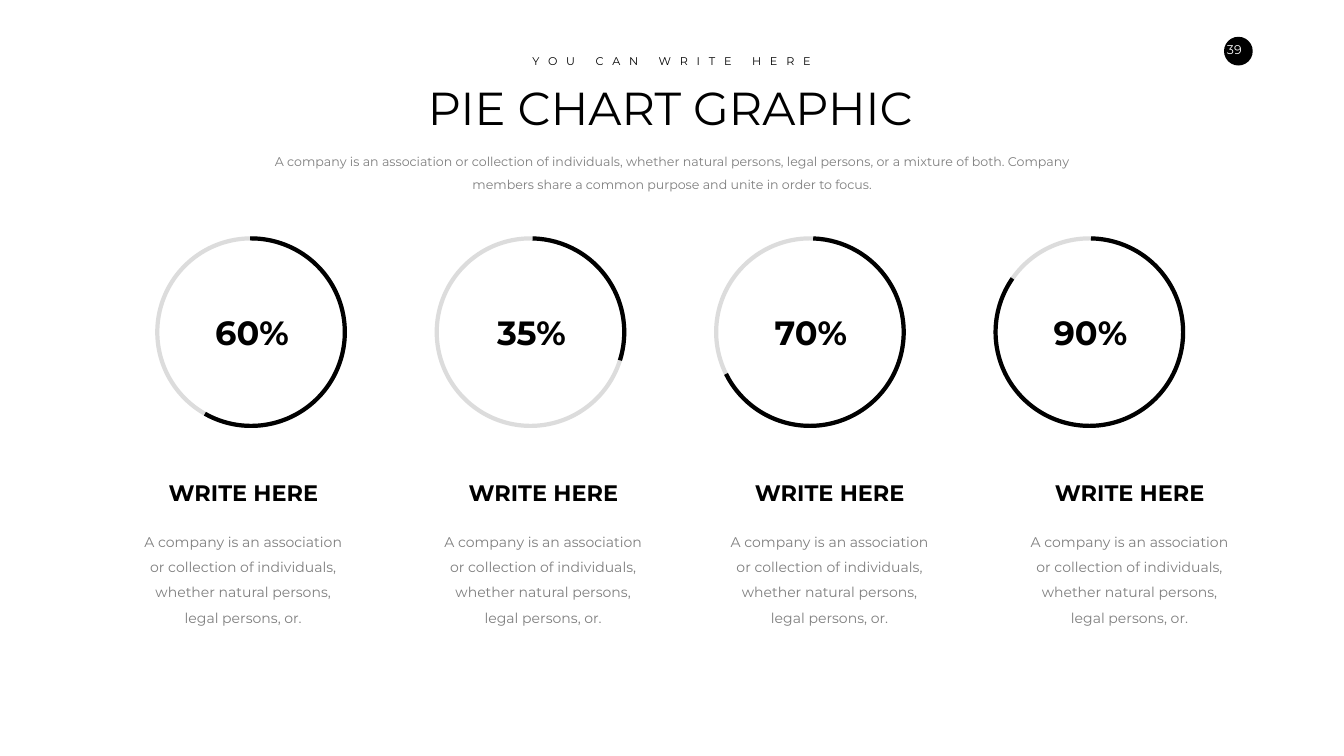
from dataclasses import dataclass

from pptx import Presentation
from pptx.dml.color import RGBColor
from pptx.enum.shapes import MSO_SHAPE as Shape
from pptx.enum.text import PP_ALIGN as Align
from pptx.util import Inches, Pt

BLACK = RGBColor(0x00, 0x00, 0x00)
WHITE = RGBColor(0xFF, 0xFF, 0xFF)
GRAY = RGBColor(0x7F, 0x7F, 0x7F)
TRACK = RGBColor(0xDC, 0xDC, 0xDC)
FONT = "Montserrat"
BODY = ("A company is an association or collection of individuals, "
        "whether natural persons, legal persons, or.")
INTRO = ("A company is an association or collection of individuals, "
         "whether natural persons, legal persons, or a mixture of both. "
         "Company members share a common purpose and unite in order to focus.")
RING_LEFT, RING_TOP, RING_SIZE, RING_STEP = 3.12, 4.73, 3.72, 5.543
ADJUSTMENT_PER_DEGREE = 0.6


@dataclass
class Gauge:
    label: str
    start: float
    end: float
    text_left: float


GAUGES = [
    Gauge("60%", 269.5, 119.5, 2.66),
    Gauge("35%", 271.3, 17.5, 8.61),
    Gauge("70%", 272, 153.5, 14.29),
    Gauge("90%", 271, 214.95, 20.24),
]


def add_text(s, text: str, left: float, top: float, width: float, height: float,
             size: float, color: RGBColor = BLACK, bold: bool = False,
             line_spacing: float = 1.0,
             insets: tuple = (0.1, 0.05, 0.1, 0.05)):
    sp = s.shapes.add_textbox(Inches(left), Inches(top), Inches(width), Inches(height))
    tf = sp.text_frame
    tf.word_wrap = True
    tf.margin_left, tf.margin_top, tf.margin_right, tf.margin_bottom = map(Inches, insets)
    p = tf.paragraphs[0]
    p.text = text
    p.alignment = Align.CENTER
    p.line_spacing = line_spacing
    p.font.name = FONT
    p.font.size = Pt(size)
    p.font.bold = bold
    p.font.color.rgb = color
    return p


def add_ring(s, kind: Shape, left: float, color: RGBColor):
    sp = s.shapes.add_shape(kind, Inches(left), Inches(RING_TOP),
                            Inches(RING_SIZE), Inches(RING_SIZE))
    sp.shadow.inherit = False
    sp.fill.background()
    sp.line.color.rgb = color
    sp.line.width = Pt(6)
    return sp


def add_gauge(s, gauge: Gauge, left: float) -> None:
    add_ring(s, Shape.OVAL, left, TRACK)
    add_text(s, gauge.label, left + 0.91, 6.19, 1.94, 0.95, 48, bold=True,
             insets=(0, 0, 0, 0))
    arc = add_ring(s, Shape.ARC, left, BLACK)
    arc.adjustments[0] = gauge.start * ADJUSTMENT_PER_DEGREE
    arc.adjustments[1] = gauge.end * ADJUSTMENT_PER_DEGREE
    add_text(s, BODY, gauge.text_left, 10.37, 4.33, 2.12, 20, GRAY, line_spacing=1.5)
    add_text(s, "WRITE HERE", gauge.text_left + 0.19, 9.46, 3.96, 0.64, 32, bold=True)


def add_page_number(s, number: str) -> None:
    sp = s.shapes.add_shape(Shape.OVAL, Inches(24.28), Inches(0.73),
                            Inches(0.57), Inches(0.57))
    sp.shadow.inherit = False
    sp.fill.solid()
    sp.fill.fore_color.rgb = BLACK
    sp.line.fill.background()
    add_text(s, number, 24.12, 0.73, 0.86, 0.5, 18, WHITE,
             insets=(0.1, 0.1, 0.23, 0.1))


def main() -> None:
    prs = Presentation()
    prs.slide_width, prs.slide_height = Inches(26.66), Inches(15)
    s = prs.slides.add_slide(prs.slide_layouts[6])

    add_page_number(s, "39")
    add_text(s, "PIE CHART GRAPHIC", 6.85, 1.52, 12.9, 1.21, 66)
    add_text(s, INTRO, 5.32, 2.86, 16.03, 1.01, 18, GRAY, line_spacing=1.5)
    kicker = add_text(s, "YOU CAN WRITE HERE", 9.9, 1.02, 6.85, 0.37, 16)
    kicker.runs[0].font._element.set("spc", "1260")

    for i, gauge in enumerate(GAUGES):
        add_gauge(s, gauge, RING_LEFT + i * RING_STEP)

    prs.save("out.pptx")


if __name__ == "__main__":
    main()
